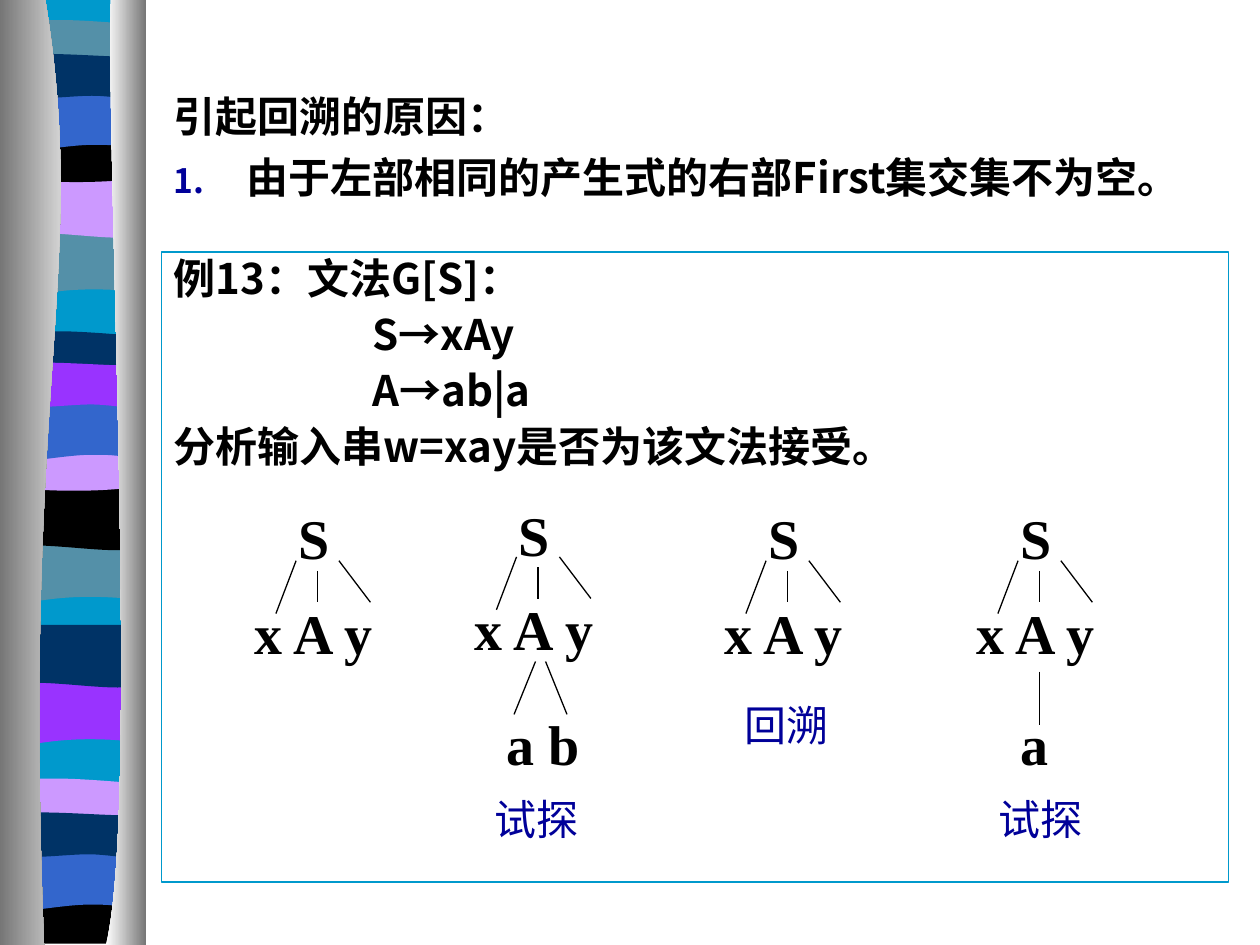
from pptx import Presentation, util as u
from pptx.dml.color import RGBColor
from pptx.enum import shapes, text
from pptx.oxml.ns import qn
from lxml import etree

WIDTH, HEIGHT = 10, 7.5
BLACK = RGBColor(0, 0, 0)
WHITE = RGBColor(255, 255, 255)
GRAY = RGBColor(0x76, 0x76, 0x76)
INK_BLUE = RGBColor(0, 0, 0x99)
CYAN = RGBColor(0, 0x99, 0xCC)
TEAL = RGBColor(0x54, 0x90, 0xA8)
NAVY = RGBColor(0, 0x33, 0x66)
BLUE = RGBColor(0x33, 0x66, 0xCC)
LILAC = RGBColor(0xCC, 0x99, 0xFF)
PURPLE = RGBColor(0x99, 0x33, 0xFF)

SANS = "Noto Sans CJK SC"
SERIF = "Times New Roman"
HEADING = {"size": u.Pt(24), "name": SANS, "bold": True}
NODE = {"size": u.Pt(32), "name": SERIF, "bold": True}
LABEL = {"size": u.Pt(24), "name": SERIF, "bold": False}
HANGING = 0.58

# Outlines as steps: one point is a straight side, three points are a cubic curve
CUSHION_TOP = [(0.65, 0.05), (0.83, 0), (1.06, 0)]
BAND_OUTLINES = {
    "dip": [[(1.06, 0)], [(1.06, 0.47)], [(0.32, 0.39), (0.17, 0.55), (0, 0.47)], [(0, 0)]],
    "swell": [[(1.06, 0)], [(1.06, 0.47)], [(0.88, 0.55), (0.32, 0.42), (0, 0.47)], [(0, 0)]],
    "lens": [[(1.06, 0.05)], [(1.06, 0.29)], [(0.88, 0.33), (0.17, 0.33), (0, 0.29)], [(0, 0.05)],
             [(0.07, 0), (0.24, 0.01), (0.42, 0.01)], [(0.59, 0.01), (0.93, 0.04), (1.06, 0.05)]],
    "cushion": [[(1.06, 0)], [(1.06, 0.32)], [(0.88, 0.38), (0.17, 0.38), (0, 0.32)], [(0, 0)],
                CUSHION_TOP],
    "hem": [[(1.06, 0)], [(1.06, 0.37)], [(0, 0.37)], [(0, 0)], CUSHION_TOP],
    "arch": [[(1.06, 0)], [(1.06, 0.47)], [(0.89, 0.41), (0.83, 0.41), (0.65, 0.41)],
             [(0.47, 0.41), (0.16, 0.47), (0, 0.47)], [(0, 0)]],
    "flag": [[(1.06, 0.05)], [(1.06, 0.36)], [(0.99, 0.41), (0.83, 0.36), (0.65, 0.36)],
             [(0.47, 0.36), (0.11, 0.41), (0, 0.36)], [(0, 0.05)],
             [(0.15, 0), (0.72, 0.05), (0.9, 0.05)], [(1.07, 0.05), (1.02, 0.05), (1.06, 0.05)]],
}
# Outline, colour, left, top
BANDS = [
    ("dip", TEAL, 0.08, 1.85), ("swell", LILAC, 0.09, 1.39), ("lens", TEAL, 0.09, 0.15),
    ("cushion", BLACK, 0.08, 1.08), ("arch", BLUE, 0.08, 0.74), ("flag", NAVY, 0.08, 0.4),
    ("dip", TEAL, 0.05, 4.29), ("swell", BLACK, 0.06, 3.87), ("lens", NAVY, 0.07, 2.62),
    ("cushion", LILAC, 0.06, 3.53), ("arch", BLUE, 0.07, 3.2), ("flag", PURPLE, 0.07, 2.85),
    ("dip", PURPLE, 0.05, 5.42), ("swell", NAVY, 0.07, 4.96), ("lens", LILAC, 0.06, 6.17),
    ("hem", BLACK, 0.06, 7.12), ("arch", BLUE, 0.05, 6.77), ("flag", NAVY, 0.05, 6.42),
]


def add_outline(slide, steps, left=0, top=0):
    """Draw a closed outline of straight and cubic steps, in inches."""
    points = [(u.Inches(left + x), u.Inches(top + y)) for step in steps for x, y in step]
    builder = slide.shapes.build_freeform(*points[0])
    builder.add_line_segments(points[1:], close=True)
    shape = builder.convert_to_shape()
    sides = iter(list(shape._element.iter(qn("a:lnTo"))))
    for step in steps[1:]:
        group = [next(sides) for _ in step]
        if len(group) == 3:
            curve = etree.Element(qn("a:cubicBezTo"))
            group[0].addprevious(curve)
            for side in group:
                curve.append(side[0])
                side.getparent().remove(side)
    shape.shadow.inherit = False
    shape.line.fill.background()
    return shape


def fill_solid(shape, colour):
    shape.fill.solid()
    shape.fill.fore_color.rgb = colour


def add_ribbon(slide):
    base = [[(0, 0)], [(1.06, 0)], [(1.06, 7.46)], [(0, 7.46)]]
    fill_solid(add_outline(slide, base, 0.08), CYAN)
    for outline, colour, left, top in BANDS:
        fill_solid(add_outline(slide, BAND_OUTLINES[outline], left, top), colour)


def add_pillar(slide, outer, start, curve, colours):
    """Shade the area between a straight outer side and a curved inner side."""
    shape = add_outline(slide, [[start], curve, [(outer, HEIGHT)], [(outer, 0)]])
    shape.fill.gradient()
    shape.fill.gradient_angle = 0
    for stop, colour in zip(shape.fill.gradient_stops, colours):
        stop.color.rgb = colour


def write(paragraph, words, style, colour=BLACK):
    run = paragraph.add_run()
    run.text = words
    for name, value in style.items():
        setattr(run.font, name, value)
    run.font.color.rgb = colour
    if style["name"] == SANS:
        etree.SubElement(run.font._element, qn("a:ea"), typeface=SANS)


def write_lines(frame, lines, line_spacing):
    """Fill a frame with hanging paragraphs and return them."""
    for index, words in enumerate(lines):
        paragraph = frame.paragraphs[0] if index == 0 else frame.add_paragraph()
        paragraph.alignment = text.PP_ALIGN.LEFT
        paragraph.line_spacing = line_spacing
        paragraph.space_before = u.Pt(6 if index else 0)
        properties = paragraph._p.get_or_add_pPr()
        for name, inches in {"marL": HANGING, "indent": -HANGING, "defTabSz": 1}.items():
            properties.set(name, str(int(u.Inches(inches))))
        write(paragraph, words, HEADING)
    return frame.paragraphs


def add_reasons(slide, box):
    body = slide.placeholders[1]
    body.left, body.top, body.width, body.height = map(u.Inches, box)
    frame = body.text_frame
    frame.auto_size = text.MSO_AUTO_SIZE.NONE
    frame.vertical_anchor = text.MSO_ANCHOR.TOP
    heading, reason = write_lines(
        frame, ["引起回溯的原因：", "由于左部相同的产生式的右部First集交集不为空。"], 1.0)
    etree.SubElement(heading._p.pPr, qn("a:buNone"))
    colour = etree.SubElement(reason._p.pPr, qn("a:buClr"))
    etree.SubElement(colour, qn("a:srgbClr"), val=str(INK_BLUE))
    etree.SubElement(reason._p.pPr, qn("a:buSzPct"), val="80000")
    etree.SubElement(reason._p.pPr, qn("a:buFont"), typeface=SANS)
    etree.SubElement(reason._p.pPr, qn("a:buAutoNum"), type="arabicPeriod")


def add_example(slide, box):
    frame_box = slide.shapes.add_shape(shapes.MSO_SHAPE.RECTANGLE, *map(u.Inches, box))
    frame_box.shadow.inherit = False
    frame_box.fill.background()
    frame_box.line.color.rgb = CYAN
    frame_box.line.width = u.Pt(0.75)
    frame = frame_box.text_frame
    frame.word_wrap = True
    frame.vertical_anchor = text.MSO_ANCHOR.TOP
    lines = ["例13：文法G[S]：", "\t\tS→xAy", "\t\tA→ab|a", "分析输入串w=xay是否为该文法接受。"]
    write_lines(frame, lines, 0.9)


def add_text(slide, box, words, style, colour=BLACK, wrap=False):
    frame = slide.shapes.add_textbox(*map(u.Inches, box)).text_frame
    frame.word_wrap = wrap
    frame.auto_size = text.MSO_AUTO_SIZE.SHAPE_TO_FIT_TEXT
    write(frame.paragraphs[0], words, style, colour)


def add_tree(slide, left, top, branches=(), leaves=None, label=None):
    """Draw S over x A y from the upper left corner, with optional parts below."""
    add_text(slide, (left + 0.35, top, 0.45, 0.64), "S", NODE)
    add_text(slide, (left, top + 0.75, 1.19, 0.64), "x A y", NODE)
    root_branches = [(0.43, 0.5, 0.27, 0.92), (0.6, 0.58, 0.6, 0.83), (0.77, 0.5, 1.02, 0.83)]
    for x1, y1, x2, y2 in [*root_branches, *branches]:
        line = slide.shapes.add_connector(
            shapes.MSO_CONNECTOR.STRAIGHT,
            *map(u.Inches, (left + x1, top + y1, left + x2, top + y2)))
        line.line.color.rgb = BLACK
        line.line.width = u.Pt(0.75)
        etree.SubElement(line._element.spPr, qn("a:effectLst"))
    if leaves:
        x, y, width, words = leaves
        add_text(slide, (left + x, top + y, width, 0.64), words, NODE)
    if label:
        x, y, width, words = label
        add_text(slide, (left + x, top + y, width, 0.5), words, LABEL, INK_BLUE, True)


def main():
    presentation = Presentation()
    presentation.slide_width, presentation.slide_height = u.Inches(WIDTH), u.Inches(HEIGHT)
    slide = presentation.slides.add_slide(presentation.slide_layouts[1])
    title = slide.shapes.title._element
    title.getparent().remove(title)

    add_ribbon(slide)
    add_pillar(slide, 0, (0.36, 0), [(0.71, 2.16), (0.17, 2.96), (0.35, HEIGHT)], (GRAY, WHITE))
    add_pillar(slide, 1.16, (0.88, 0), [(0.84, 1.25), (1.11, 6.46), (0.84, HEIGHT)], (WHITE, GRAY))

    add_reasons(slide, (1.28, 0.67, 8.47, 1.08))
    add_tree(slide, 1.92, 3.95)
    add_tree(slide, 3.67, 3.92, [(0.58, 1.33, 0.41, 1.75), (0.66, 1.33, 0.83, 1.75)],
             (0.25, 1.66, 0.78, "a b"), (0.16, 2.33, 1.08, "试探"))
    add_tree(slide, 5.65, 3.95, label=(0.16, 1.55, 0.92, "回溯"))
    add_tree(slide, 7.65, 3.95, [(0.6, 1.38, 0.6, 1.8)],
             (0.35, 1.63, 0.42, "a"), (0.18, 2.3, 1.08, "试探"))
    add_example(slide, (1.28, 2, 8.47, 5))
    presentation.save("out.pptx")


if __name__ == "__main__":
    main()
